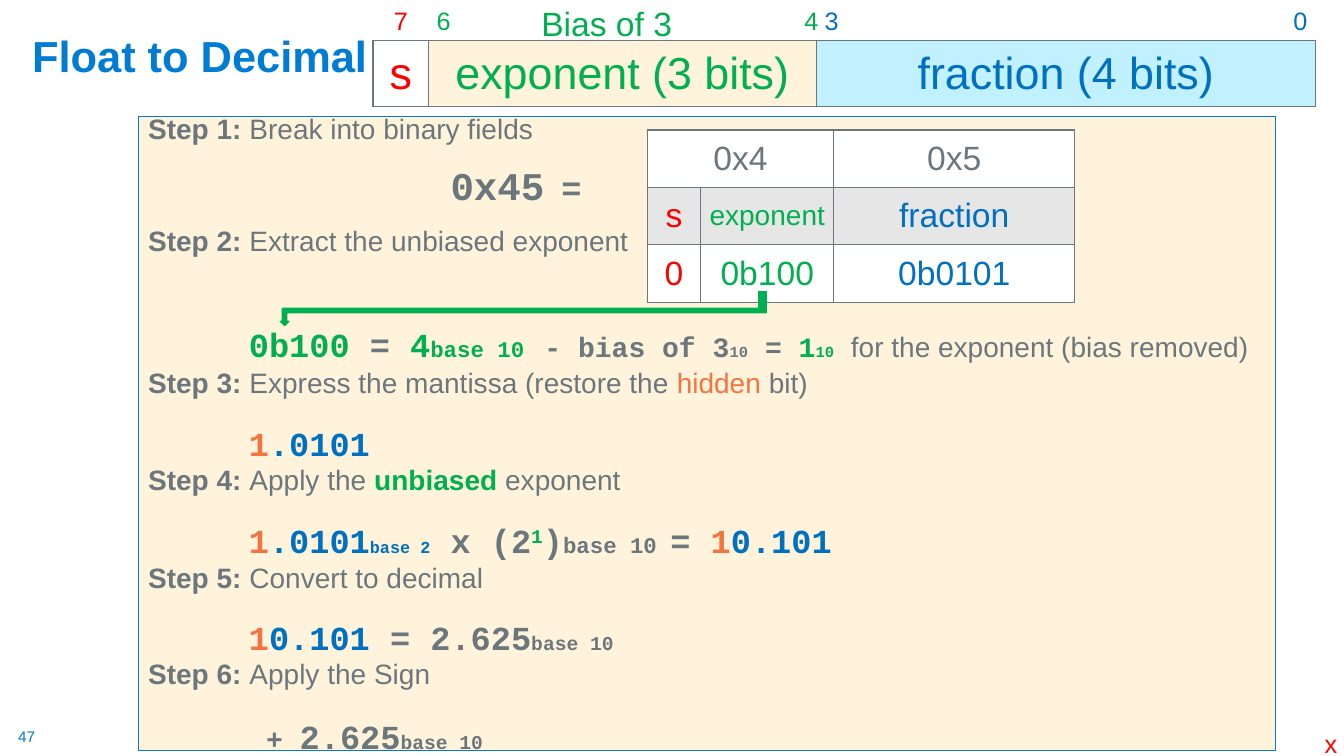
from lxml import etree
from pptx import Presentation
from pptx import util as u
from pptx.dml.color import RGBColor
from pptx.enum import shapes, text
from pptx.oxml import ns

# Grid: one column or row is a tenth of an inch
CELL = u.Inches(0.1)
SANS, MONO = "Arial", "Courier New"
GRAY, RED, GREEN, BLUE = "6B767D", "FF0000", "00B050", "0070C0"
ORANGE, TITLE, CREAM, SKY = "F37440", "007CD5", "FFF4DB", "C1F0FF"
WHITE, SILVER = "FFFFFF", "E7E6E6"
LEFT, CENTER, RIGHT = text.PP_ALIGN.LEFT, text.PP_ALIGN.CENTER, text.PP_ALIGN.RIGHT
MIDDLE, BOTTOM = text.MSO_ANCHOR.MIDDLE, text.MSO_ANCHOR.BOTTOM


def grid(*counts):
    return [int(count * CELL) for count in counts]


def color(hex_string):
    return RGBColor.from_string(hex_string)


def add_run(paragraph, words, size, hue=GRAY, bold=False, font=SANS, raised=0):
    run = paragraph.add_run()
    run.text = words
    run.font.size, run.font.bold, run.font.name = u.Pt(size), bold, font
    run.font.color.rgb = color(hue)
    if raised:
        run.font._element.set("baseline", str(raised))


def add_label(slide, place, words, size, hue, bold=False, anchor=None, inset=None):
    frame = slide.shapes.add_textbox(*grid(*place)).text_frame
    frame.word_wrap = False
    if anchor is not None:
        frame.vertical_anchor = anchor
    if inset is not None:
        frame.margin_left = frame.margin_right = inset
        frame.margin_top = frame.margin_bottom = inset
    add_run(frame.paragraphs[0], words, size, hue, bold)


def add_block(slide, kind, place, fill, line, line_width):
    shape = slide.shapes.add_shape(kind, *grid(*place))
    shape.shadow.inherit = False
    shape.fill.solid()
    shape.fill.fore_color.rgb = color(fill)
    shape.line.color.rgb = color(line)
    shape.line.width = u.Pt(line_width)
    return shape


def add_table(slide, place, columns, rows):
    frame = slide.shapes.add_table(len(rows), len(columns), *grid(*place))
    table = frame.table
    table.first_row = table.horz_banding = False
    for column, width in zip(table.columns, grid(*columns)):
        column.width = width
    for row, height in zip(table.rows, grid(*rows)):
        row.height = height
    return table


def set_borders(cell, sides):
    properties = cell._tc.get_or_add_tcPr()
    for position, side in enumerate("LRTB"):
        line = etree.Element(ns.qn(f"a:ln{side}"), w=str(u.Pt(1)))
        if side in sides:
            fill = etree.SubElement(line, ns.qn("a:solidFill"))
            etree.SubElement(fill, ns.qn("a:srgbClr"), val=GRAY)
        else:
            etree.SubElement(line, ns.qn("a:noFill"))
        properties.insert(position, line)


def fill_cell(cell, words, size, hue, fill=None, borders="LRTB", align=CENTER, anchor=MIDDLE):
    cell.margin_left = cell.margin_right = u.Inches(0.08)
    cell.margin_top = cell.margin_bottom = u.Inches(0.04)
    cell.vertical_anchor = anchor
    if fill:
        cell.fill.solid()
        cell.fill.fore_color.rgb = color(fill)
    else:
        cell.fill.background()
    set_borders(cell, borders)
    if words:
        paragraph = cell.text_frame.paragraphs[0]
        paragraph.alignment = align
        add_run(paragraph, words, size, hue)


def add_bit_layout(slide):
    widths = [5.5, 9.3, 9.3, 15.9, 1.8, 1.8, 6.3, 4.2, 4.1, 8.1, 8.1, 18.7]
    table = add_table(slide, (37, -1, 93, 11.6), widths, [5, 6.6])
    bits = {0: ("7", RED, CENTER), 1: ("6", GREEN, LEFT), 5: ("4", GREEN, CENTER),
            6: ("3", BLUE, LEFT), 11: ("0", BLUE, RIGHT)}
    for column in range(len(widths)):
        words, hue, align = bits.get(column, ("", GRAY, LEFT))
        fill_cell(table.cell(0, column), words, 18, hue, borders="B",
                  align=align, anchor=BOTTOM)
    fields = [(0, 0, "s", RED, None), (1, 5, "exponent (3 bits)", GREEN, CREAM),
              (6, 11, "fraction (4 bits)", BLUE, SKY)]
    for first, last, words, hue, fill in fields:
        if last > first:
            table.cell(1, first).merge(table.cell(1, last))
        for column in range(first, last + 1):
            fill_cell(table.cell(1, column), words if column == first else "", 32, hue, fill)


def add_field_values(slide):
    table = add_table(slide, (64.2, 12.9, 42.4, 17.1), [5.3, 13.2, 23.9], [5.7] * 3)
    table.cell(0, 0).merge(table.cell(0, 1))
    rows = [(WHITE, ["0x4", "", "0x5"]), (SILVER, ["s", "exponent", "fraction"]),
            (WHITE, ["0", "0b100", "0b0101"])]
    for row, (fill, entries) in enumerate(rows):
        for column, words in enumerate(entries):
            hue = (RED, GREEN, BLUE)[column] if row else GRAY
            size = 20 if words == "exponent" else 24
            fill_cell(table.cell(row, column), words, size, hue, fill)


def mono(words, hue=GRAY, size=24, raised=0):
    return words, size, hue, True, MONO, raised


def sans(words, hue=GRAY, bold=False):
    return words, 20, hue, bold


def add_steps(slide):
    box = add_block(slide, shapes.MSO_SHAPE.RECTANGLE, (13.7, 11.6, 112.8, 62.9),
                    CREAM, TITLE, 0.75)
    frame = box.text_frame
    frame.word_wrap = True
    frame.vertical_anchor = MIDDLE
    # Each step: space before, explanation, space before, indent, working
    steps = [
        (0, [sans("Break into binary fields")],
         11.5, 30, [mono("0x45", size=28), mono(" ", size=20), mono("=")]),
        (10.5, [sans("Extract the unbiased exponent")],
         47.5, 10, [mono("0b100", GREEN), mono(" = "), mono("4", GREEN),
                    mono("base 10", GREEN, 16), mono(" "), mono("- bias of 3", size=20),
                    mono("10", size=11), mono(" = ", size=20), mono("1", GREEN, 20),
                    mono("10", GREEN, 11), mono(" ", size=20),
                    sans("for the exponent (bias removed)")]),
        (1.5, [sans("Express the mantissa (restore the "), sans("hidden", ORANGE),
               sans(" bit)")],
         16.5, 10, [mono("1", ORANGE), mono(".0101", BLUE)]),
        (0, [sans("Apply the "), sans("unbiased", GREEN, True), sans(" exponent")],
         17, 10, [mono("1", ORANGE), mono(".0101", BLUE), mono("base 2", BLUE, 12),
                  mono(" x (2"), mono("1", GREEN, raised=30000), mono(")"),
                  mono("base 10 ", size=16), mono("= "), mono("1", ORANGE),
                  mono("0.101", BLUE)]),
        (0, [sans("Convert to decimal")],
         16, 10, [mono("1", ORANGE), mono("0.101", BLUE), mono(" = 2.625"),
                  mono("base 10", size=14)]),
        (0, [sans("Apply the Sign")],
         18, 11.7, [mono("+ ", size=20), mono("2.625"), mono("base 10", size=14)]),
    ]
    for number, (gap, explanation, work_gap, indent, working) in enumerate(steps, 1):
        heading = [sans(f"Step {number}: ", bold=True)] + explanation
        for before, margin, runs in ((gap, 0, heading), (work_gap, indent, working)):
            first = number == 1 and runs is heading
            paragraph = frame.paragraphs[0] if first else frame.add_paragraph()
            paragraph.alignment = LEFT
            if before:
                paragraph.space_before = u.Pt(before)
            paragraph._p.get_or_add_pPr().set("marL", str(grid(margin)[0]))
            for run in runs:
                add_run(paragraph, *run)


def add_exponent_arrow(slide):
    arrow = add_block(slide, shapes.MSO_SHAPE.BENT_UP_ARROW, (27.8, 30.6, 48.2, 1.7),
                      GREEN, GREEN, 1)
    arrow.rotation = 180
    add_block(slide, shapes.MSO_SHAPE.RECTANGLE, (75.3, 28.9, 0.7, 1.7), GREEN, GREEN, 1)


def main():
    presentation = Presentation()
    presentation.slide_width, presentation.slide_height = u.Inches(13.33), u.Inches(7.5)
    slide = presentation.slides.add_slide(presentation.slide_layouts[6])
    # Page number and title
    add_label(slide, (1.8, 72.1, 1.9, 1.9), "47", 11, TITLE, inset=0)
    add_label(slide, (2.2, 3.6, 36.1, 5), "Float to Decimal", 31, TITLE, True, BOTTOM)
    # Worked steps and bit fields
    add_steps(slide)
    add_bit_layout(slide)
    add_label(slide, (52.7, -0.2, 15.1, 5), "Bias of 3", 24, GREEN)
    add_field_values(slide)
    add_exponent_arrow(slide)
    # Corner mark
    add_label(slide, (130.4, 71.8, 3.3, 4), "x", 18, RED)
    presentation.save("out.pptx")


if __name__ == "__main__":
    main()
